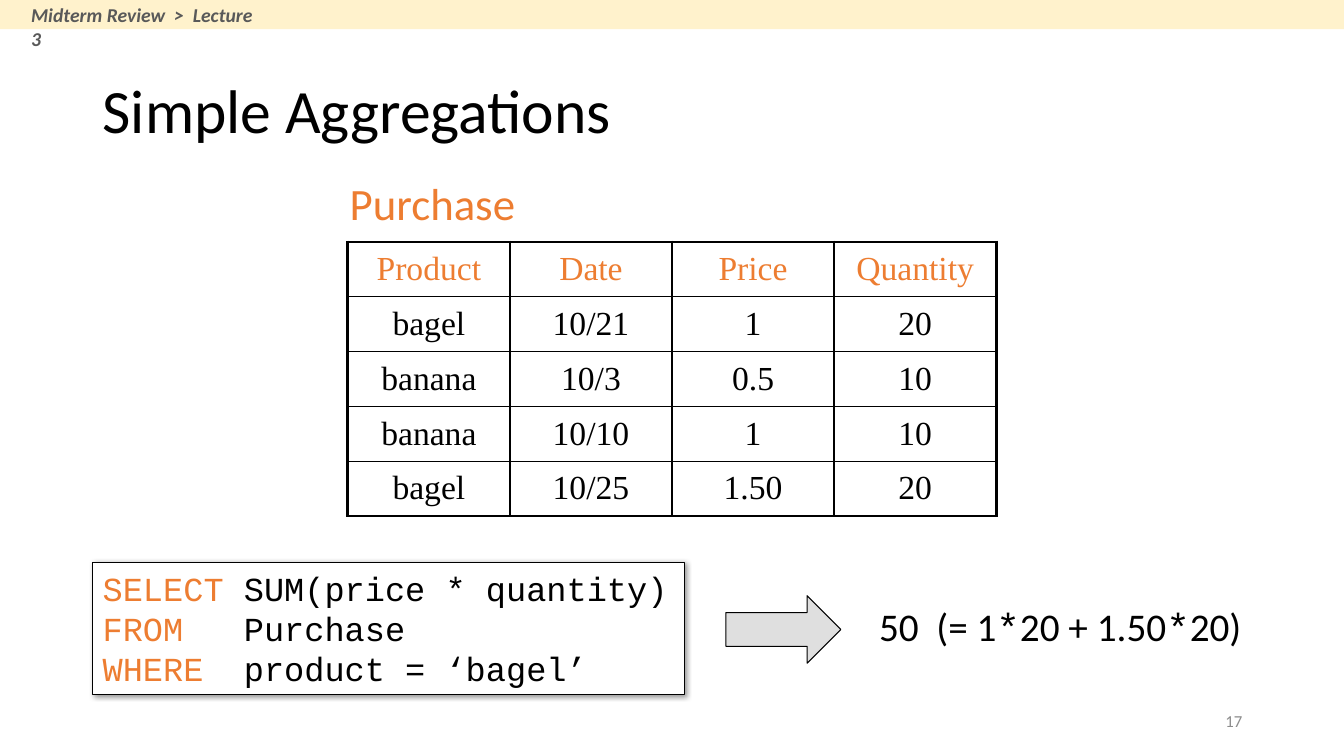
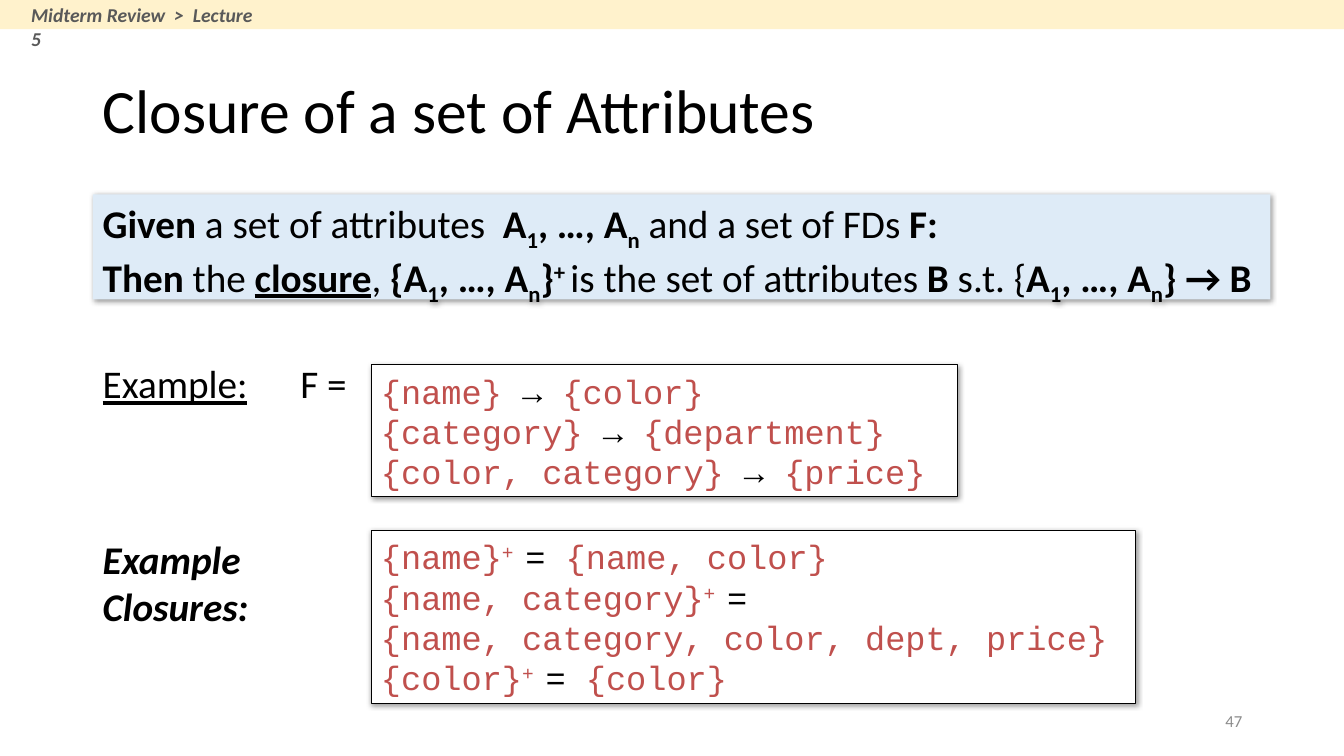
from lxml import etree
from pptx import Presentation
from pptx.dml.color import RGBColor
from pptx.enum.shapes import MSO_SHAPE
from pptx.enum.text import MSO_ANCHOR, PP_ALIGN
from pptx.oxml.ns import qn
from pptx.util import Inches, Pt

RECT, ARROW = MSO_SHAPE.RECTANGLE, MSO_SHAPE.RIGHT_ARROW
TOP, MIDDLE = MSO_ANCHOR.TOP, MSO_ANCHOR.MIDDLE
LEFT, CENTER, RIGHT = PP_ALIGN.LEFT, PP_ALIGN.CENTER, PP_ALIGN.RIGHT
SANS, MONO, SERIF = "Calibri", "Courier New", "Times New Roman"
COLORS = {
    "black": "000000", "white": "FFFFFF", "cream": "FFF2CC",
    "gray": "595959", "pale": "8C8C8C", "silver": "C0C0C0",
    "orange": "ED7D31", "red": "C0504D", "blue": "DEEBF7",
}
BASES = {"sub": "-25000", "sup": "30000"}
EDGE = 0.92

SALES = [
    ["Product", "Date", "Price", "Quantity"],
    ["bagel", "10/21", "1", "20"],
    ["banana", "10/3", "0.5", "10"],
    ["banana", "10/10", "1", "10"],
    ["bagel", "10/25", "1.50", "20"],
]
QUERY = [
    [("SELECT ", "orange"), "SUM(price * quantity)"],
    [("FROM   ", "orange"), "Purchase"],
    [("WHERE  ", "orange"), "product = ‘bagel’"],
]
SPAN = [("A", "b"), ("1", "b sub"), (", …, A", "b"), ("n", "b sub")]
RULE = [
    [("Given", "b"), " a set of attributes  ", *SPAN,
     " and a set of FDs ", ("F:", "b")],
    [("Then ", "b"), "the ", ("closure", "b u"), ", ", ("{", "b"), *SPAN,
     ("}", "b"), ("+ ", "b sup"), "is the set of attributes ", ("B ", "b"),
     "s.t. {", *SPAN, ("} → B", "b")],
]
DEPS = [
    ("{name} ", "{color}"),
    ("{category} ", "{department}"),
    ("{color, category} ", "{price}"),
]
CLOSURES = [
    ["{name}", ("+ ", "sup"), ("= ", "black"), "{name, color}"],
    ["{name, category}", ("+ ", "sup"), ("=", "black")],
    ["{name, category, color, dept, price}"],
    ["{color}", ("+ ", "sup"), ("= ", "black"), "{color}"],
]


def rgb(name):
    return RGBColor.from_string(COLORS[name])


def node(parent, tag, **attrs):
    return etree.SubElement(parent, qn(tag), attrs)


def write(frame, lines, size=28, font=SANS, color="black", marks="",
          align=LEFT, anchor=TOP, space=None, tab=None):
    """Fill a frame; a line is a string or a list of runs.

    A run is a string, or a pair of a string and its marks: b, i, u, sub,
    sup, mono or the name of a colour.
    """
    frame.word_wrap = True
    frame.vertical_anchor = anchor
    for row, line in enumerate([lines] if isinstance(lines, str) else lines):
        para = frame.add_paragraph() if row else frame.paragraphs[0]
        para.alignment = align
        para.line_spacing = space
        if tab:
            stops = node(para._p.get_or_add_pPr(), "a:tabLst")
            node(stops, "a:tab", pos=str(Inches(tab)), algn="l")
        for part in [line] if isinstance(line, str) else line:
            words, extra = (part, "") if isinstance(part, str) else part
            style = marks.split() + extra.split()
            run = para.add_run()
            run.text = words
            face = run.font
            face.size = Pt(size)
            face.name = MONO if "mono" in style else font
            face.bold = "b" in style
            face.italic = "i" in style
            face.underline = "u" in style
            hue = [mark for mark in style if mark in COLORS] or [color]
            face.color.rgb = rgb(hue[-1])
            for mark in style:
                if mark in BASES:
                    run._r.get_or_add_rPr().set("baseline", BASES[mark])


def label(slide, box, lines, **style):
    shape = slide.shapes.add_textbox(*map(Inches, box))
    write(shape.text_frame, lines, **style)


def block(slide, box, fill, kind=RECT, line=None, shade=False):
    shape = slide.shapes.add_shape(kind, *map(Inches, box))
    shape.fill.solid()
    shape.fill.fore_color.rgb = rgb(fill)
    if line:
        shape.line.color.rgb = rgb(line)
        shape.line.width = Pt(0.75)
    else:
        shape.line.fill.background()
    shape.shadow.inherit = False
    if shade:
        effects = shape._element.spPr.find(qn("a:effectLst"))
        outer = node(effects, "a:outerShdw", blurRad=str(Pt(4)),
                     dist=str(Pt(1)), dir="2700000", algn="tl",
                     rotWithShape="0")
        tint = node(outer, "a:srgbClr", val=COLORS["black"])
        node(tint, "a:alpha", val="40000")
    return shape


def panel(slide, box, lines, fill="white", line="black", **style):
    """Add a shadowed box with text."""
    shape = block(slide, box, fill, line=line, shade=True)
    write(shape.text_frame, lines, **style)


def code(slide, box, lines, **style):
    panel(slide, box, lines, size=24, font=MONO, **style)


def arrow(slide, box):
    shape = block(slide, box, "silver", kind=ARROW, line="black")
    tint = shape._element.spPr.find(qn("a:solidFill"))[0]
    node(tint, "a:alpha", val="50000")


def border(cell, side, width):
    edge = node(cell._tc.get_or_add_tcPr(), "a:ln" + side, w=str(Pt(width)))
    fill = node(edge, "a:solidFill")
    node(fill, "a:srgbClr", val=COLORS["black"])


def grid(slide, box, data):
    """Add a table with a thick frame and thin inner lines."""
    rows, cols = len(data), len(data[0])
    table = slide.shapes.add_table(rows, cols, *map(Inches, box)).table
    table.first_row = table.horz_banding = False
    for row, line in enumerate(data):
        for col, words in enumerate(line):
            cell = table.cell(row, col)
            outer = {"L": col == 0, "R": col == cols - 1,
                     "T": row == 0, "B": row == rows - 1}
            for side, thick in outer.items():
                border(cell, side, 2.25 if thick else 1)
            cell.fill.background()
            cell.vertical_anchor = MIDDLE
            write(cell.text_frame, words, size=24, font=SERIF, align=CENTER,
                  color="black" if row else "orange", anchor=MIDDLE)


def page(deck, title, part, number):
    """Add a slide with the shared band, title and number."""
    slide = deck.slides.add_slide(deck.slide_layouts[6])
    block(slide, (0, 0, 13.33, 0.29), "cream")
    label(slide, (0.21, -0.02, 2.48, 0.34),
          f"Midterm Review  >  Lecture {part}",
          size=14, color="gray", marks="b i")
    label(slide, (EDGE, 0.4, 11.5, 1.45), title, size=44, anchor=MIDDLE,
          space=0.9)
    label(slide, (9.42, 6.95, 3, 0.4), str(number), size=12, color="pale",
          align=RIGHT, anchor=MIDDLE)
    return slide


def sums(deck):
    slide = page(deck, "Simple Aggregations", 3, 17)
    label(slide, (3.37, 1.69, 2, 0.64), "Purchase", size=32, color="orange")
    grid(slide, (3.45, 2.4, 6.43, 2.72), SALES)
    code(slide, (EDGE, 5.58, 5.87, 1.31), QUERY)
    arrow(slide, (7.2, 5.91, 1.14, 0.67))
    star = ("*", "mono")
    label(slide, (8.62, 5.93, 4, 0.57),
          [["50  (= 1", star, "20 + 1.50", star, "20)"]])


def closure(deck):
    slide = page(deck, "Closure of a set of Attributes", 5, 47)
    panel(slide, (EDGE, 1.93, 11.68, 1.04), RULE, fill="blue", line=None)
    label(slide, (EDGE, 3.52, 2.66, 0.57), [[("Example:", "u"), "\tF ="]],
          tab=1.96)
    code(slide, (3.68, 3.62, 5.82, 1.31),
         [[start, ("→ ", "black"), end] for start, end in DEPS],
         color="red", anchor=MIDDLE)
    label(slide, (EDGE, 5.26, 1.9, 1.04), "Example Closures:", marks="b i")
    code(slide, (3.68, 5.26, 7.58, 1.72), CLOSURES, color="red",
         anchor=MIDDLE)


def main():
    deck = Presentation()
    deck.slide_width, deck.slide_height = Inches(13.33), Inches(7.5)
    sums(deck)
    closure(deck)
    deck.save("out.pptx")


if __name__ == "__main__":
    main()
